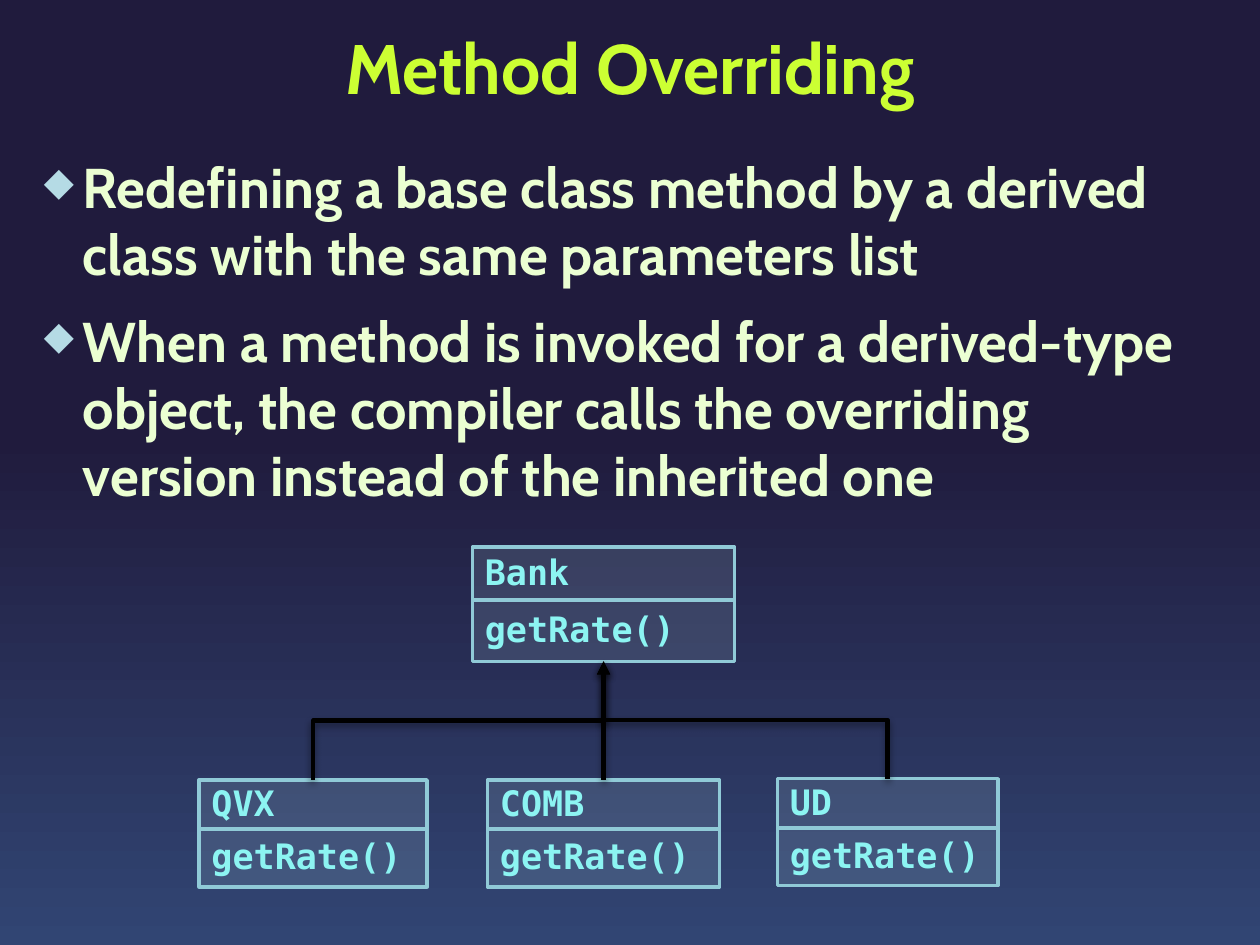
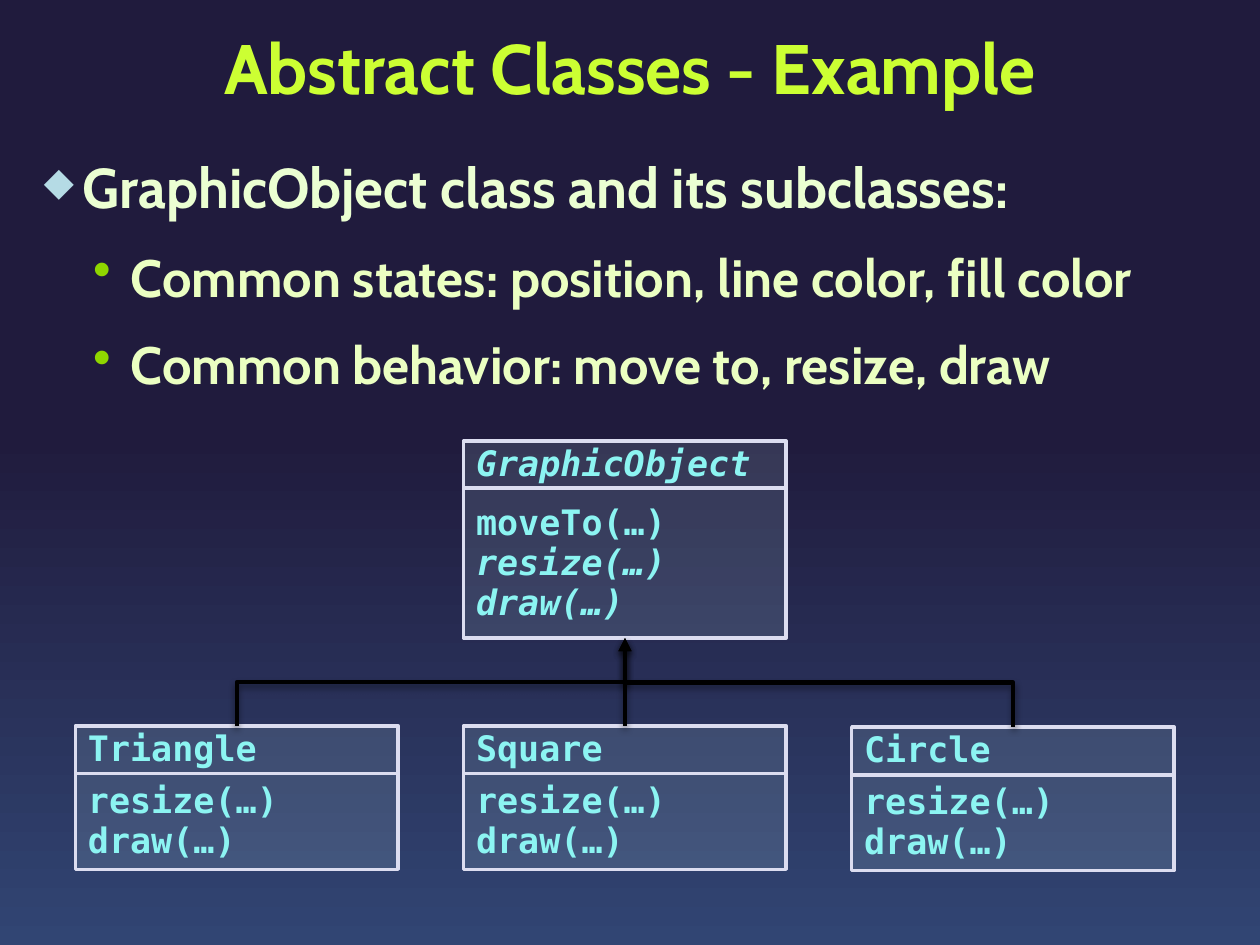
from typing import NamedTuple

from lxml.etree import SubElement
from pptx import Presentation
from pptx.dml.color import RGBColor
from pptx.enum.shapes import MSO_CONNECTOR, MSO_SHAPE
from pptx.enum.text import MSO_ANCHOR, PP_ALIGN
from pptx.oxml.ns import qn
from pptx.util import Inches, Pt

# Grid: 40 columns by 30 rows
WIDTH, HEIGHT = Inches(10), Inches(7.5)
COL, ROW = WIDTH / 40, HEIGHT / 30

# Colours and fonts
NIGHT = RGBColor(0x20, 0x1B, 0x3D)
DUSK = RGBColor(0x31, 0x45, 0x73)
LIME = RGBColor(0xCC, 0xFF, 0x33)
CREAM = RGBColor(0xEB, 0xFF, 0xD2)
LEMON = RGBColor(0xEB, 0xFF, 0xC2)
GREEN = RGBColor(0x8F, 0xD6, 0x00)
ICE = RGBColor(0xB5, 0xDB, 0xE5)
CYAN = RGBColor(0x8C, 0xF4, 0xF2)
TEAL = RGBColor(0x90, 0xCA, 0xD7)
LILAC = RGBColor(0xDC, 0xDD, 0xF0)
BLACK = RGBColor(0, 0, 0)
SANS, MONO = "Cabin", "DejaVu Sans Mono"


class Level(NamedTuple):
    """Look of one bullet level; lengths in columns, share in percent."""
    mark: str
    tint: RGBColor
    share: int
    left: float
    hang: float
    size: int
    color: RGBColor


LEVELS = (Level("◆", ICE, 70, 1.24, 1.24, 32, CREAM),
          Level("•", GREEN, 100, 2.76, 1.2, 30, LEMON))


class Line(NamedTuple):
    text: str
    slant: bool = False


class Box(NamedTuple):
    """A class box: name cell above a method cell, in grid units."""
    name: Line
    calls: tuple
    left: float
    top: float
    width: float
    head: float
    body: float

    @property
    def mid(self) -> float:
        return self.left + self.width / 2

    @property
    def foot(self) -> float:
        return self.top + self.head + self.body


def style(para, size: int, color: RGBColor, face: str, slant: bool = False) -> None:
    for run in para.runs:
        font = run.font
        font.name, font.size, font.bold = face, Pt(size), True
        font.color.rgb = color
        if slant:
            font.italic = True


def frame(slide, top: float, height: float):
    """Full-width text box, one column in from each side."""
    area = slide.shapes.add_textbox(int(COL), int(top * ROW), int(38 * COL), int(height * ROW))
    area.text_frame.word_wrap = True
    return area.text_frame


def add_title(slide, text: str) -> None:
    text_frame = frame(slide, 0.32, 4)
    text_frame.vertical_anchor = MSO_ANCHOR.MIDDLE
    text_frame.text = text
    para = text_frame.paragraphs[0]
    para.alignment, para.line_spacing = PP_ALIGN.CENTER, Pt(40)
    style(para, 40, LIME, SANS)


def add_list(slide, items: tuple, height: float) -> None:
    text_frame = frame(slide, 4.68, height)
    text_frame.text = "\n".join(text for _, text in items)
    for para, (depth, _) in zip(text_frame.paragraphs, items):
        level = LEVELS[depth]
        para.level, para.line_spacing = depth, Pt(38)
        para.space_before = para.space_after = Pt(6)
        style(para, level.size, level.color, SANS)
        # Bullet mark
        props = para._p.get_or_add_pPr()
        props.set("marL", str(int(level.left * COL)))
        props.set("indent", str(int(-level.hang * COL)))
        tint = SubElement(props, qn("a:buClr"))
        SubElement(tint, qn("a:srgbClr"), val=str(level.tint))
        SubElement(props, qn("a:buSzPct"), val=str(level.share * 1000))
        SubElement(props, qn("a:buChar"), char=level.mark)


def add_cell(slide, box: Box, top: float, height: float, lines: tuple, edge: RGBColor) -> None:
    cell = slide.shapes.add_shape(MSO_SHAPE.RECTANGLE, int(box.left * COL), int(top * ROW),
                                  int(box.width * COL), int(height * ROW))
    cell.shadow.inherit = False
    cell.fill.solid()
    cell.fill.fore_color.rgb = ICE
    shade = cell._element.spPr.find(qn("a:solidFill")).find(qn("a:srgbClr"))
    SubElement(shade, qn("a:alpha"), val="15000")
    cell.line.color.rgb, cell.line.width = edge, Pt(2)
    text_frame = cell.text_frame
    text_frame.word_wrap = False
    text_frame.vertical_anchor = MSO_ANCHOR.MIDDLE
    text_frame.text = "\n".join(line.text for line in lines)
    for para, line in zip(text_frame.paragraphs, lines):
        para.alignment, para.line_spacing = PP_ALIGN.LEFT, 0.95
        style(para, 20, CYAN, MONO, line.slant)


def add_box(slide, box: Box, edge: RGBColor) -> None:
    add_cell(slide, box, box.top + box.head, box.body, box.calls, edge)
    add_cell(slide, box, box.top, box.head, (box.name,), edge)


def add_link(slide, child: Box, base: Box) -> None:
    """Elbow arrow from the child's top to the base's foot, turned upright."""
    rise = (child.top - base.foot) * ROW
    span = abs(child.mid - base.mid) * COL
    left = (child.mid + base.mid) / 2 * COL - rise / 2
    top = (child.top + base.foot) / 2 * ROW - span / 2
    link = slide.shapes.add_connector(MSO_CONNECTOR.ELBOW, int(left), int(top),
                                      int(left + rise), int(top + span))
    link.line.color.rgb, link.line.width = BLACK, Pt(2.5)
    props = link._element.spPr
    turn = props.find(qn("a:xfrm"))
    turn.set("flipV", "1")
    if child.mid < base.mid:
        turn.set("flipH", "1")
        turn.set("rot", str(90 * 60000))
    else:
        turn.set("rot", str(270 * 60000))
    # Arrowhead and soft shadow
    SubElement(props.find(qn("a:ln")), qn("a:tailEnd"), type="triangle")
    glow = SubElement(SubElement(props, qn("a:effectLst")), qn("a:outerShdw"),
                      blurRad=str(Pt(4)), dist=str(Pt(2)), dir=str(90 * 60000), rotWithShape="0")
    tint = SubElement(glow, qn("a:srgbClr"), val=str(BLACK))
    SubElement(tint, qn("a:alpha"), val="43000")


def add_tree(slide, base: Box, kids: list, edge: RGBColor) -> None:
    for box in (base, *kids):
        add_box(slide, box, edge)
    for kid in kids:
        add_link(slide, kid, base)


def add_page(deck, title: str, items: tuple, height: float):
    slide = deck.slides.add_slide(deck.slide_layouts[6])
    add_title(slide, title)
    add_list(slide, items, height)
    return slide


def main() -> None:
    deck = Presentation()
    deck.slide_width, deck.slide_height = WIDTH, HEIGHT

    # Shared background, rising from dusk to night
    fill = deck.slide_master.background.fill
    fill.gradient()
    fill.gradient_angle = 90
    for stop, color, place in zip(fill.gradient_stops, (DUSK, NIGHT), (0, 0.54)):
        stop.color.rgb, stop.position = color, place

    # Slide 1: overriding
    slide = add_page(deck, "Method Overriding", (
        (0, "Redefining a base class method by a derived class with the same parameters list"),
        (0, "When a method is invoked for a derived-type object, the compiler calls "
            "the overriding version instead of the inherited one")), 12.56)
    rate = (Line("getRate()"),)
    base = Box(Line("Bank"), rate, 15, 17.36, 8.32, 1.68, 1.96)
    banks = (("QVX", 6.32, 24.76, 7.24), ("COMB", 15.48, 24.76, 7.36), ("UD", 24.68, 24.72, 7))
    kids = [Box(Line(name), rate, left, top, width, 1.56, 1.84)
            for name, left, top, width in banks]
    add_tree(slide, base, kids, TEAL)

    # Slide 2: abstract classes
    slide = add_page(deck, "Abstract Classes - Example", (
        (0, "GraphicObject class and its subclasses:"),
        (1, "Common states: position, line color, fill color"),
        (1, "Common behavior: move to, resize, draw")), 24.68)
    wide, step = 10.24, 12.32
    calls = (Line("moveTo(…)"), Line("resize(…)", True), Line("draw(…)", True))
    base = Box(Line("GraphicObject", True), calls, 14.72, 14, wide, 1.5, 4.76)
    draws = (Line("resize(…)"), Line("draw(…)"))
    forms = (("Triangle", 23.04), ("Square", 23.04), ("Circle", 23.08))
    kids = [Box(Line(name), draws, base.left + (spot - 1) * step, top, wide, 1.52, 3.04)
            for spot, (name, top) in enumerate(forms)]
    add_tree(slide, base, kids, LILAC)

    deck.save("out.pptx")


if __name__ == "__main__":
    main()
